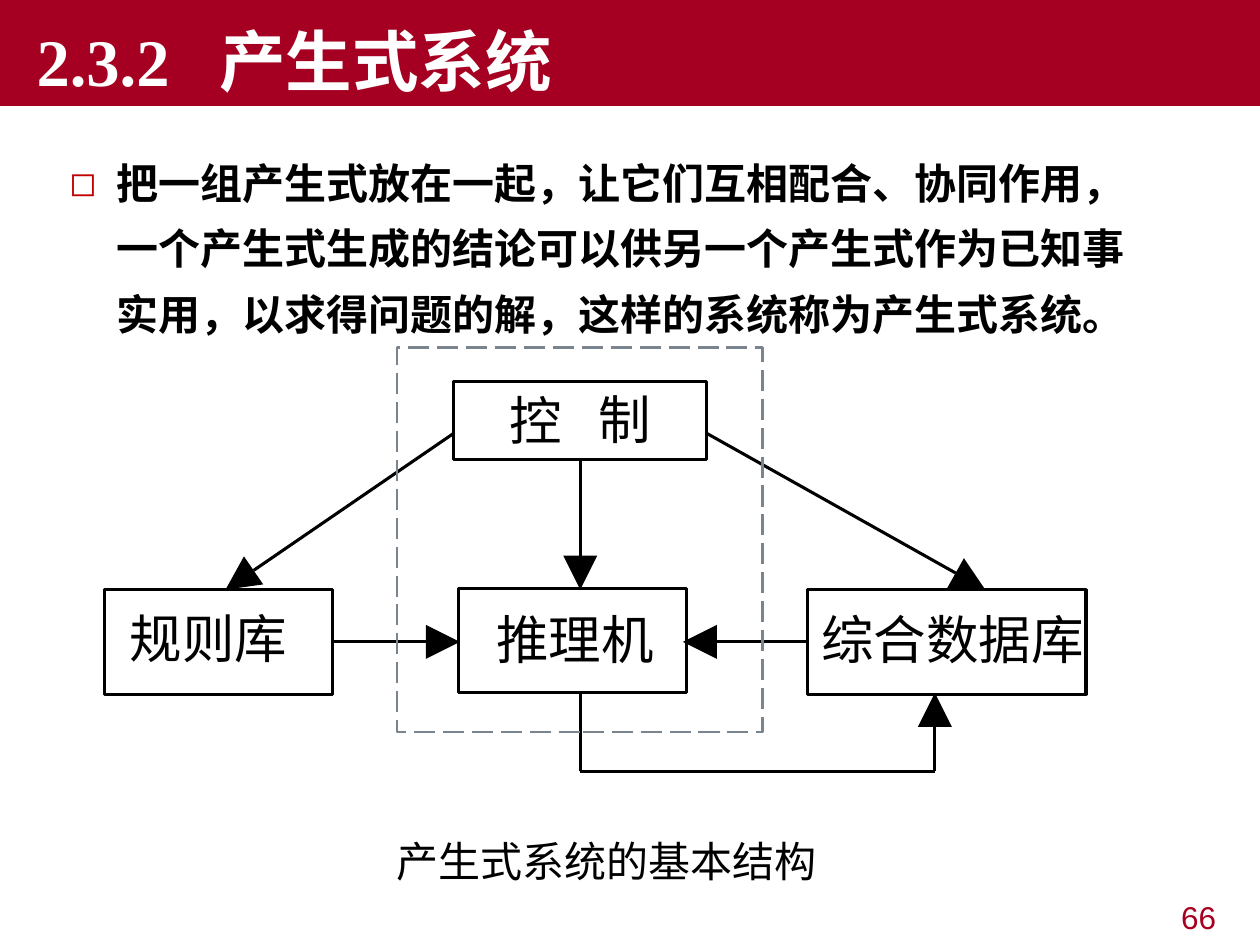
from dataclasses import dataclass
from itertools import pairwise
from math import hypot

from lxml import etree
from pptx import Presentation
from pptx.dml.color import RGBColor
from pptx.enum.dml import MSO_LINE
from pptx.enum.shapes import MSO_CONNECTOR, MSO_SHAPE
from pptx.enum.text import MSO_ANCHOR, MSO_AUTO_SIZE, PP_ALIGN
from pptx.oxml.ns import qn
from pptx.util import Inches, Pt

RED = RGBColor(0xA5, 0x00, 0x21)
BLACK = RGBColor(0, 0, 0)
WHITE = RGBColor(255, 255, 255)
GREY = RGBColor(0x79, 0x84, 0x8F)
RECT = MSO_SHAPE.RECTANGLE
LINE = MSO_CONNECTOR.STRAIGHT
DASH = MSO_LINE.LONG_DASH
LEFT, RIGHT = PP_ALIGN.LEFT, PP_ALIGN.RIGHT
TOP, BOTTOM = MSO_ANCHOR.TOP, MSO_ANCHOR.BOTTOM
GROW = MSO_AUTO_SIZE.SHAPE_TO_FIT_TEXT
HAN = "Noto Sans CJK SC"
COLS, ROWS = 100, 75
HEAD = 2.7

deck = Presentation()
deck.slide_width, deck.slide_height = Inches(10), Inches(7.5)
slide = deck.slides.add_slide(deck.slide_layouts[6])
shapes = slide.shapes
Spot = tuple[float, float]
Area = tuple[float, float, float, float]


@dataclass
class Label:
    text: str
    area: Area


@dataclass
class Box:
    name: str
    area: Area
    labels: list[Label]


@dataclass
class Wire:
    spots: list[Spot]
    box: str = ""
    side: int = 0


def grid(*cells: float) -> list[int]:
    units = (deck.slide_width / COLS, deck.slide_height / ROWS)
    return [round(cell * units[i % 2]) for i, cell in enumerate(cells)]


def add_rect(area: Area, fill=None, line=None, width=1.75):
    rect = shapes.add_shape(RECT, *grid(*area))
    rect.shadow.inherit = False
    if fill is None:
        rect.fill.background()
    else:
        rect.fill.solid()
        rect.fill.fore_color.rgb = fill
    if line is None:
        rect.line.fill.background()
    else:
        rect.line.color.rgb = line
        rect.line.width = Pt(width)
    return rect


def add_mark(para, tag: str, **attrs: str):
    return etree.SubElement(para._p.get_or_add_pPr(), qn(tag), attrs)


def add_text(text: str, area: Area, host=None, size=30, font=HAN, color=BLACK,
             bold=False, align=LEFT, anchor=TOP, inset=(0, 0), wrap=False,
             space=None, bullet="", hang=0.0, stop=0.0):
    host = host or shapes.add_textbox(*grid(*area))
    frame = host.text_frame
    frame.word_wrap = wrap
    if not wrap:
        frame.auto_size = GROW
    frame.vertical_anchor = anchor
    frame.margin_left, frame.margin_top = grid(*inset)
    frame.margin_right, frame.margin_bottom = grid(*inset)
    para = frame.paragraphs[0]
    para.alignment = align
    if space:
        para.line_spacing = space
    if bullet:
        props = para._p.get_or_add_pPr()
        left = grid(hang)[0]
        props.set("marL", str(left))
        props.set("indent", str(-left))
        tint = add_mark(para, "a:buClr")
        etree.SubElement(tint, qn("a:srgbClr"), val="C00000")
        add_mark(para, "a:buSzPct", val="80000")
        add_mark(para, "a:buFont", typeface=font)
        add_mark(para, "a:buChar", char=bullet)
    if stop:
        tabs = add_mark(para, "a:tabLst")
        etree.SubElement(tabs, qn("a:tab"), pos=str(grid(stop)[0]), algn="l")
    run = para.add_run()
    run.text = text
    run.font.size, run.font.name, run.font.bold = Pt(size), font, bold
    run.font.color.rgb = color
    etree.SubElement(run._r.get_or_add_rPr(), qn("a:ea"), typeface=HAN)
    return frame


def add_line(start: Spot, end: Spot):
    line = shapes.add_connector(LINE, *grid(*start, *end))
    line.line.color.rgb = BLACK
    line.line.width = Pt(1.75)
    etree.SubElement(line._element.spPr, qn("a:effectLst"))
    return line


def add_head(base: Spot, tip: Spot) -> None:
    half_x = (tip[1] - base[1]) / 2
    half_y = (base[0] - tip[0]) / 2
    one = grid(base[0] + half_x, base[1] + half_y)
    two = grid(base[0] - half_x, base[1] - half_y)
    pen = shapes.build_freeform(*one)
    pen.add_line_segments([grid(*tip), two], close=True)
    head = pen.convert_to_shape()
    head.shadow.inherit = False
    head.fill.solid()
    head.fill.fore_color.rgb = BLACK
    head.line.fill.background()


def add_wire(wire: Wire, boxes: dict) -> None:
    prior, tip = wire.spots[-2:]
    share = HEAD / hypot(tip[0] - prior[0], tip[1] - prior[1])
    base = (tip[0] - (tip[0] - prior[0]) * share,
            tip[1] - (tip[1] - prior[1]) * share)
    lines = [add_line(*pair) for pair in pairwise([*wire.spots[:-1], base])]
    if wire.box:
        lines[0].begin_connect(boxes[wire.box], wire.side)
    add_head(base, tip)


BOXES = [
    Box("control", (36, 30.3, 20.1, 6.2),
        [Label("控", (40.4, 30.8, 4.2, 5)), Label("制", (47.5, 30.7, 4.2, 5))]),
    Box("rules", (8.3, 46.8, 18.1, 8.3),
        [Label("规则库", (10.3, 48.1, 12.5, 5))]),
    Box("engine", (36.4, 46.7, 18.1, 8.3),
        [Label("推理机", (39.4, 48.2, 12.5, 5))]),
    Box("data", (64.1, 46.8, 22.1, 8.3),
        [Label("综合数据库", (65.2, 48.2, 21, 5))]),
]
WIRES = [
    Wire([(46.05, 36.5), (46.05, 46.8)], "control", 2),
    Wire([(36, 34.4), (17.9, 46.8)]),
    Wire([(56.1, 34.4), (78.2, 46.8)]),
    Wire([(26.4, 50.95), (36.5, 50.95)], "rules", 3),
    Wire([(64.1, 50.95), (54.2, 50.95)], "data", 1),
    Wire([(46.05, 55), (46.05, 61.2), (74.2, 61.2), (74.2, 55)]),
]
BODY = ("把一组产生式放在一起，让它们互相配合、协同作用，"
        "一个产生式生成的结论可以供另一个产生式作为已知事实用，"
        "以求得问题的解，这样的系统称为产生式系统。")


def main() -> None:
    add_text("66", (75.8, 70.8, 21.7, 3.9), size=18, font="Arial", color=RED,
             align=RIGHT, inset=(1, 0.5), wrap=True)
    band = (0, 0, COLS, 8.4)
    add_text("2.3.2\t产生式系统", band, host=add_rect(band, fill=RED), size=38,
             font="Times New Roman", color=WHITE, bold=True, anchor=BOTTOM,
             inset=(2.9, 0.5), wrap=True, stop=14.5)
    drawn = {}
    for box in BOXES:
        drawn[box.name] = add_rect(box.area, line=BLACK)
        for label in box.labels:
            add_text(label.text, label.area)
    for wire in WIRES:
        add_wire(wire, drawn)
    add_text("产生式系统的基本结构", (31.5, 66.3, 33.7, 4), size=24)
    add_text(BODY, (4.5, 10.8, 88.3, 16.1), size=24, font="DejaVu Sans",
             bold=True, inset=(1, 0.5), wrap=True, space=1.3, bullet="◻",
             hang=3.8)
    frame = add_rect((31.5, 27.6, 29, 30.5), line=GREY, width=1.5)
    frame.line.dash_style = DASH
    deck.save("out.pptx")


if __name__ == "__main__":
    main()
